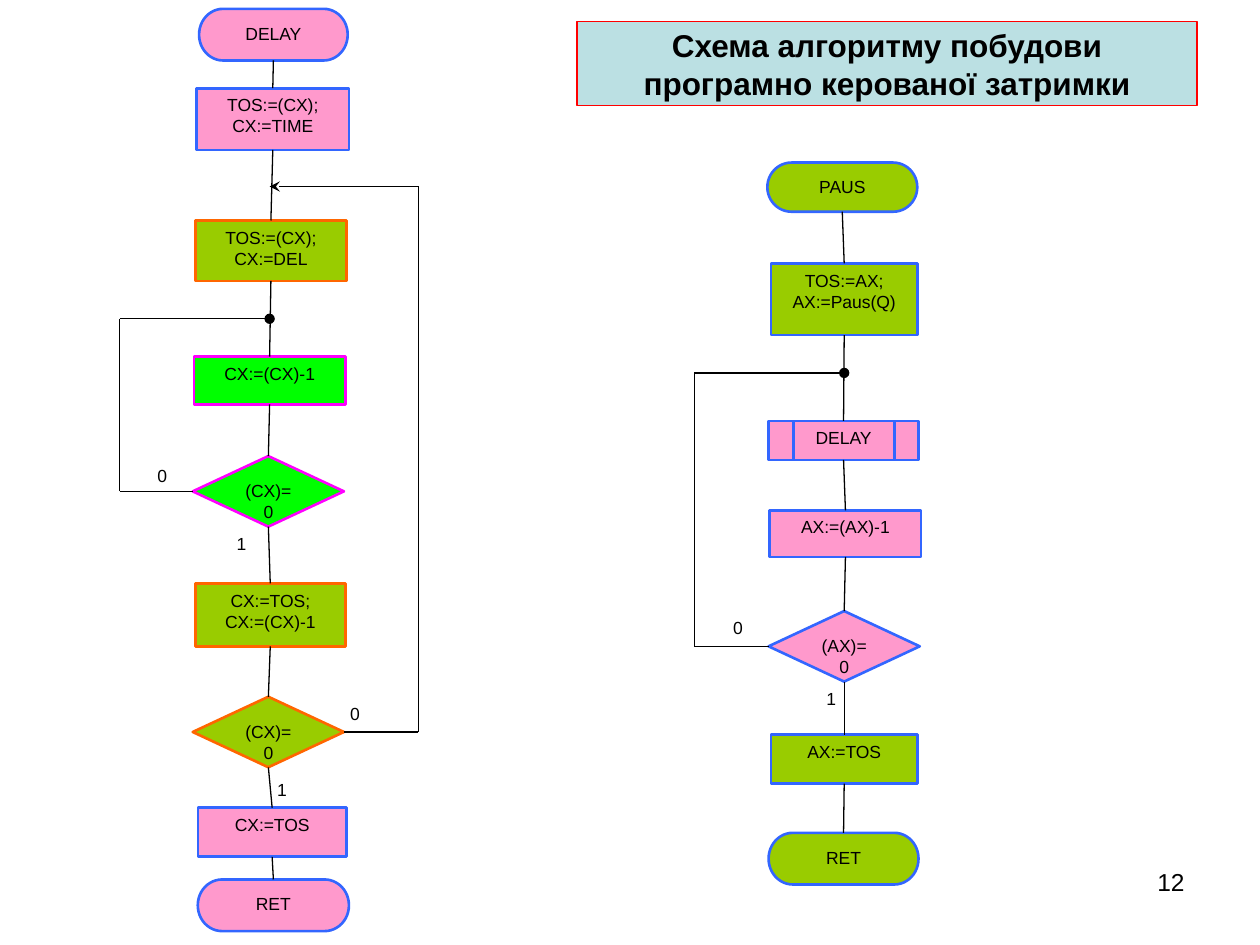
from lxml import etree
from pptx import Presentation
from pptx import util as u
from pptx.dml.color import RGBColor
from pptx.enum import shapes, text
from pptx.oxml.ns import qn

BLACK = RGBColor(0x00, 0x00, 0x00)
RED = RGBColor(0xFF, 0x00, 0x00)
PALE_BLUE = RGBColor(0xBB, 0xE0, 0xE3)
PINK = RGBColor(0xFF, 0x99, 0xCC)
BLUE = RGBColor(0x33, 0x66, 0xFF)
OLIVE = RGBColor(0x99, 0xCC, 0x00)
ORANGE = RGBColor(0xFF, 0x66, 0x00)
GREEN = RGBColor(0x00, 0xFF, 0x00)
MAGENTA = RGBColor(0xFF, 0x00, 0xFF)

RECT = shapes.MSO_SHAPE.RECTANGLE
BOX = shapes.MSO_SHAPE.FLOWCHART_PROCESS
END = shapes.MSO_SHAPE.FLOWCHART_TERMINATOR
TEST = shapes.MSO_SHAPE.FLOWCHART_DECISION
TOP, LEFT, BOTTOM, RIGHT = range(4)
ALIGN = text.PP_ALIGN
ANCHOR = text.MSO_ANCHOR


class Flowchart:
    font = {"name": "Arial", "size": u.Pt(10), "bold": False}

    def __init__(self, slide):
        self.s = slide

    def set_text(self, sp, words, align, anchor=ANCHOR.TOP, **font):
        tf = sp.text_frame
        tf.word_wrap = True
        tf.vertical_anchor = anchor
        tf.text = words
        for p in tf.paragraphs:
            p.alignment = align
            for r in p.runs:
                for key, value in {**self.font, **font}.items():
                    setattr(r.font, key, value)
                r.font.color.rgb = BLACK

    def block(self, kind, at, words, fill, line, width=1.5, **style):
        sp = self.s.shapes.add_shape(kind, *map(u.Inches, at))
        sp.shadow.inherit = False
        sp.fill.solid()
        sp.fill.fore_color.rgb = fill
        sp.line.color.rgb = line
        sp.line.width = u.Pt(width)
        self.set_text(sp, words, ALIGN.CENTER, **style)
        return sp

    def label(self, at, words, align=ALIGN.LEFT, **font):
        sp = self.s.shapes.add_textbox(*map(u.Inches, at))
        self.set_text(sp, words, align, **font)

    def line(self, x1, y1, x2, y2, color=BLACK, width=0.75, tail=None):
        ends = map(u.Inches, (x1, y1, x2, y2))
        c = self.s.shapes.add_connector(shapes.MSO_CONNECTOR.STRAIGHT, *ends)
        c.line.color.rgb = color
        c.line.width = u.Pt(width)
        if tail:
            ln = c._element.spPr.find(qn("a:ln"))
            etree.SubElement(ln, qn("a:tailEnd"), type=tail)
        etree.SubElement(c._element.spPr, qn("a:effectLst"))
        return c

    def chain(self, blocks):
        """Join each block's bottom to the top of the next one."""
        for upper, lower in zip(blocks, blocks[1:]):
            c = self.line(0, 0, 0, 0)
            c.begin_connect(upper, BOTTOM)
            c.end_connect(lower, TOP)

    def loop(self, test, side, x, merge_x, merge_y, tail):
        """Lead from a side of the test back up to the merge point."""
        y = (test.top + test.height / 2) / u.Inches(1)
        self.line(x, y, x, y).begin_connect(test, side)
        self.line(x, y, x, merge_y)
        self.line(x, merge_y, merge_x, merge_y, tail=tail)


def main():
    prs = Presentation()
    prs.slide_width, prs.slide_height = u.Inches(10), u.Inches(7.5)
    chart = Flowchart(prs.slides.add_slide(prs.slide_layouts[6]))

    chart.block(RECT, (4.58, 0.17, 4.92, 0.67),
                "Схема алгоритму побудови\vпрограмно керованої затримки",
                PALE_BLUE, RED, 0.75, anchor=ANCHOR.MIDDLE,
                size=u.Pt(18), bold=True)

    delay = [chart.block(*row) for row in (
        (END, (1.58, 0.07, 1.18, 0.41), "DELAY", PINK, BLUE),
        (BOX, (1.56, 0.7, 1.21, 0.49), "TOS:=(CX);\nCX:=TIME", PINK, BLUE),
        (BOX, (1.55, 1.75, 1.2, 0.48), "TOS:=(CX);\nCX:=DEL", OLIVE, ORANGE),
        (BOX, (1.54, 2.83, 1.2, 0.38), "CX:=(CX)-1", GREEN, MAGENTA),
        (TEST, (1.53, 3.62, 1.2, 0.56), "(CX)=0", GREEN, MAGENTA),
        (BOX, (1.55, 4.63, 1.19, 0.5), "CX:=TOS;\nCX:=(CX)-1", OLIVE, ORANGE),
        (TEST, (1.53, 5.53, 1.2, 0.56), "(CX)=0", OLIVE, ORANGE),
        (BOX, (1.57, 6.41, 1.18, 0.39), "CX:=TOS", PINK, BLUE),
        (END, (1.57, 6.98, 1.2, 0.41), "RET", PINK, BLUE),
    )]
    chart.chain(delay)
    chart.loop(delay[4], LEFT, 0.95, 2.14, 2.53, "oval")
    chart.loop(delay[6], RIGHT, 3.32, 2.14, 1.48, "stealth")

    paus = [chart.block(*row) for row in (
        (END, (6.09, 1.29, 1.19, 0.39), "PAUS", OLIVE, BLUE),
        (BOX, (6.12, 2.09, 1.16, 0.57), "TOS:=AX;\nAX:=Paus(Q)", OLIVE, BLUE),
        (BOX, (6.1, 3.34, 1.19, 0.31), "DELAY", PINK, BLUE),
        (BOX, (6.11, 4.05, 1.2, 0.37), "AX:=(AX)-1", PINK, BLUE),
        (TEST, (6.1, 4.85, 1.2, 0.56), "(AX)=0", PINK, BLUE),
        (BOX, (6.12, 5.83, 1.16, 0.39), "AX:=TOS", OLIVE, BLUE),
        (END, (6.1, 6.61, 1.19, 0.41), "RET", OLIVE, BLUE),
    )]
    chart.chain(paus)
    chart.loop(paus[4], LEFT, 5.51, 6.7, 2.96, "oval")
    for x in (6.3, 7.1):
        chart.line(x, 3.34, x, 3.65, BLUE, 1.5)

    for at, words in (
        ((1.15, 3.64, 0.41, 0.36), "0"),
        ((1.78, 4.18, 0.24, 0.25), "1"),
        ((2.68, 5.53, 0.34, 0.25), "0"),
        ((2.1, 6.13, 0.29, 0.25), "1"),
        ((5.72, 4.85, 0.41, 0.37), "0"),
        ((6.46, 5.41, 0.24, 0.25), "1"),
    ):
        chart.label(at, words)
    chart.label((7.17, 6.83, 2.33, 0.52), "12", ALIGN.RIGHT, size=u.Pt(14))

    prs.save("out.pptx")


if __name__ == "__main__":
    main()
